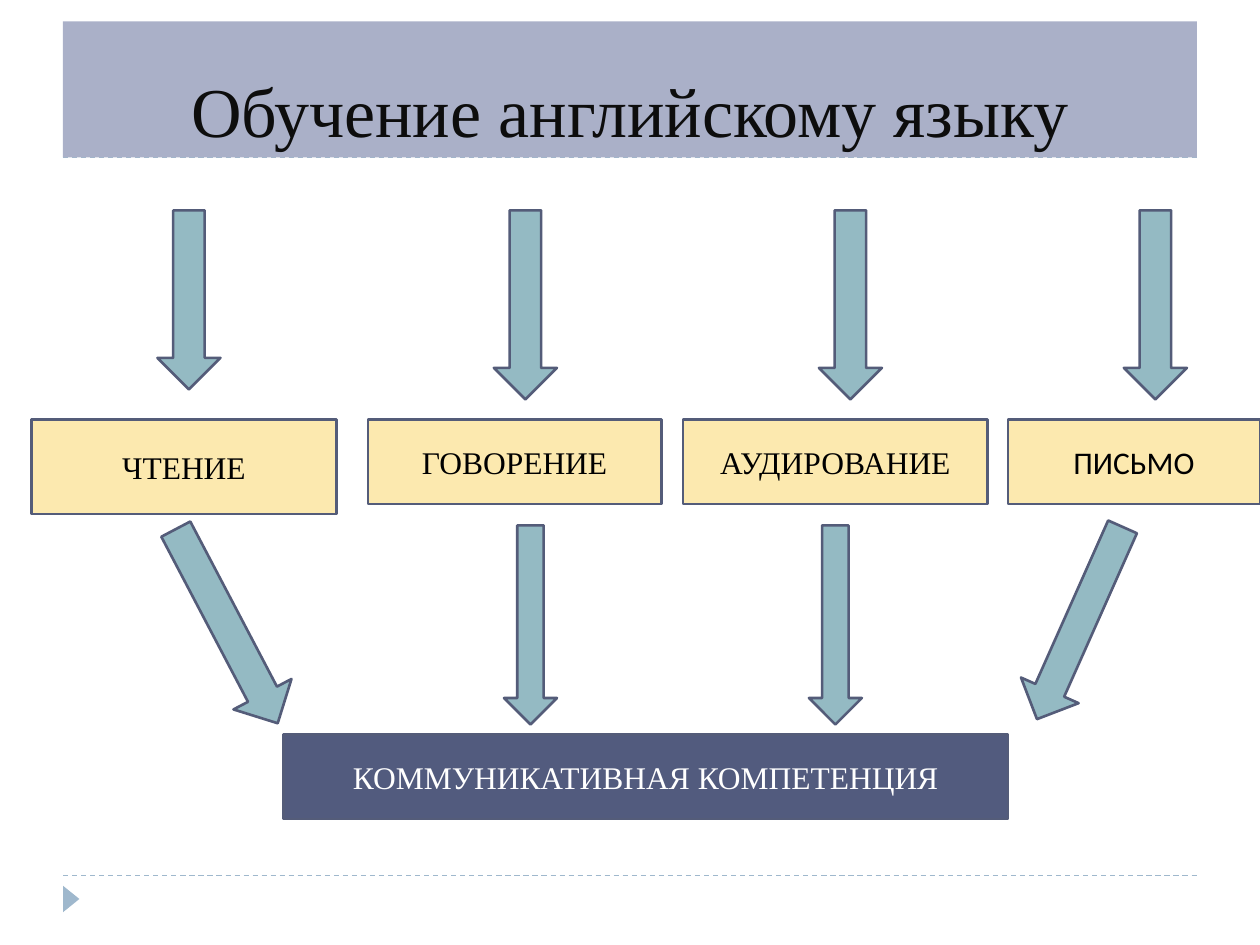
from pptx import Presentation
from pptx import util as u
from pptx.dml.color import RGBColor
from pptx.enum import dml, shapes, text

COLORS = {
    "rule": "9FB8CD",
    "banner": "AAB0C8",
    "title": "0D0D0D",
    "skill": "FCE9AF",
    "arrow": "94BAC3",
    "outline": "545C79",
    "goal": "525B7E",
    "black": "000000",
    "white": "FFFFFF",
}
SERIF = "Times New Roman"


class Diagram:
    """Holds the style and the slide being drawn; lengths are in inches."""

    def __init__(self, slide):
        self.slide = slide
        self.outline_width = u.Pt(1.5)
        self.rule_width = u.Pt(0.75)

    def color(self, name):
        return RGBColor.from_string(COLORS[name])

    def shape(self, kind, box, fill, outline="outline", rotation=0):
        part = self.slide.shapes.add_shape(kind, *map(u.Inches, box))
        part.shadow.inherit = False
        part.rotation = rotation
        part.fill.solid()
        part.fill.fore_color.rgb = self.color(fill)
        if outline:
            part.line.color.rgb = self.color(outline)
            part.line.width = self.outline_width
        else:
            part.line.fill.background()
        return part

    def label(self, box, caption, fill, ink="black", font=SERIF, size=18,
              outline="outline", anchor=text.MSO_ANCHOR.MIDDLE):
        frame = self.shape(shapes.MSO_SHAPE.RECTANGLE, box, fill, outline).text_frame
        frame.word_wrap = True
        frame.vertical_anchor = anchor
        frame.text = caption
        paragraph = frame.paragraphs[0]
        paragraph.alignment = text.PP_ALIGN.CENTER
        style = paragraph.runs[0].font
        style.name = font
        style.size = u.Pt(size)
        style.color.rgb = self.color(ink)

    def arrow(self, box, rotation=0):
        self.shape(shapes.MSO_SHAPE.DOWN_ARROW, box, "arrow", rotation=rotation)

    def dashed_rule(self, y):
        rule = self.slide.shapes.add_connector(
            shapes.MSO_CONNECTOR.STRAIGHT,
            u.Inches(0.5), u.Inches(y), u.Inches(9.5), u.Inches(y))
        rule.line.color.rgb = self.color("rule")
        rule.line.width = self.rule_width
        rule.line.dash_style = dml.MSO_LINE.DASH
        properties = rule._element.spPr
        properties.append(properties.makeelement(
            "{http://schemas.openxmlformats.org/drawingml/2006/main}effectLst", {}))

    def page_marker(self):
        self.shape(shapes.MSO_SHAPE.ISOSCELES_TRIANGLE, (0.46, 7.07, 0.21, 0.13),
                   "rule", outline=None, rotation=90)


def main():
    presentation = Presentation()
    presentation.slide_width = u.Inches(10)
    presentation.slide_height = u.Inches(7.5)
    diagram = Diagram(presentation.slides.add_slide(presentation.slide_layouts[6]))

    for y in (6.95, 1.25):
        diagram.dashed_rule(y)
    diagram.page_marker()
    diagram.label((0.5, 0.17, 9, 1.08), "Обучение английскому языку", "banner",
                  ink="title", size=40, outline=None, anchor=text.MSO_ANCHOR.BOTTOM)

    skills = [
        ("ЧТЕНИЕ", 0.25, 2.42, 0.75, SERIF),
        ("ГОВОРЕНИЕ", 2.92, 2.33, 0.67, SERIF),
        ("АУДИРОВАНИЕ", 5.42, 2.42, 0.67, SERIF),
        ("ПИСЬМО", 8, 2, 0.67, "Calibri"),
    ]
    for skill, left, width, height, font in skills:
        diagram.label((left, 3.33, width, height), skill, "skill", font=font)

    arrows_to_skills = [(1.25, 1.42), (3.92, 1.5), (6.5, 1.5), (8.92, 1.5)]
    for left, length in arrows_to_skills:
        diagram.arrow((left, 1.67, 0.5, length))

    diagram.label((2.25, 5.83, 5.75, 0.67), "КОММУНИКАТИВНАЯ КОМПЕТЕНЦИЯ",
                  "goal", ink="white")

    arrows_to_goal = [
        ((1.54, 4.1, 0.52, 1.74), 332.3),
        ((4, 4.17, 0.42, 1.58), 0),
        ((6.42, 4.17, 0.42, 1.58), 0),
        ((8.32, 4.11, 0.5, 1.67), 24),
    ]
    for box, rotation in arrows_to_goal:
        diagram.arrow(box, rotation)

    presentation.save("out.pptx")


if __name__ == "__main__":
    main()
